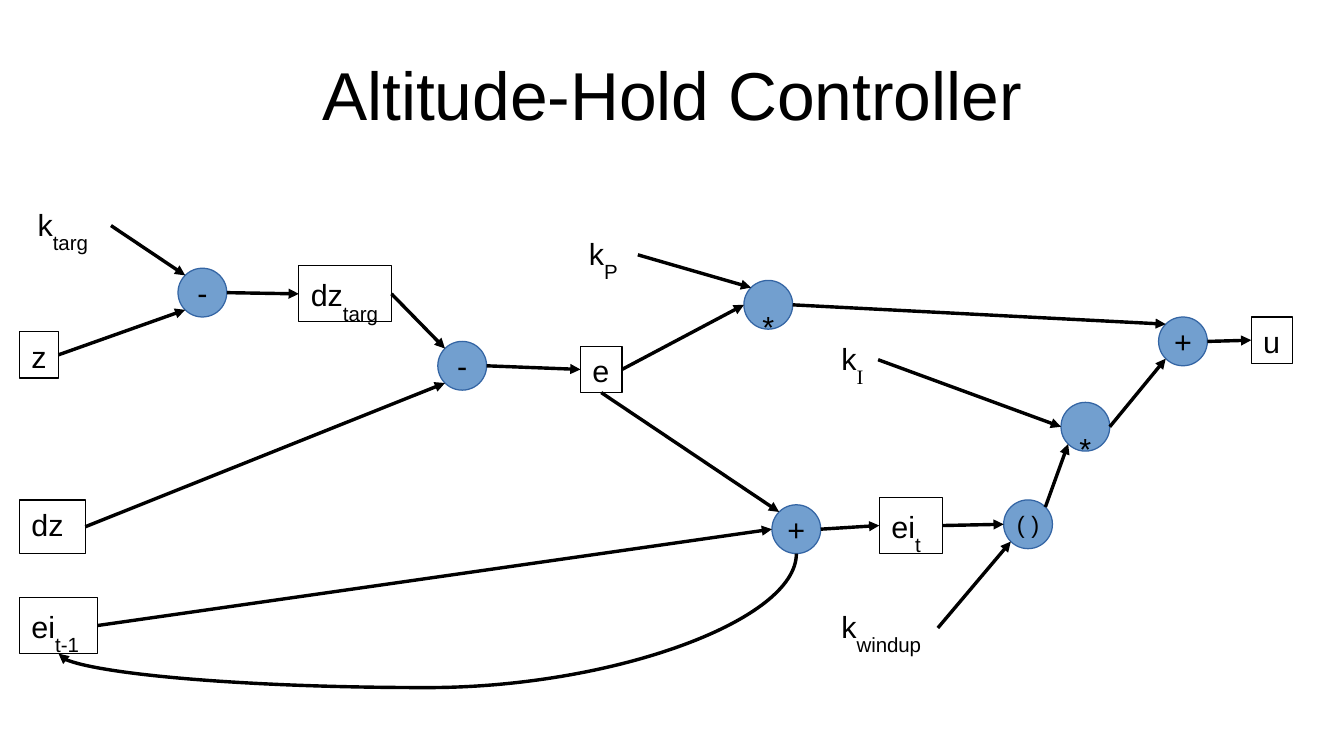
from lxml.etree import SubElement
from pptx import Presentation
from pptx.dml.color import RGBColor
from pptx.enum.shapes import MSO_CONNECTOR, MSO_SHAPE
from pptx.enum.text import MSO_ANCHOR, PP_ALIGN
from pptx.oxml.ns import qn
from pptx.util import Inches, Pt

SIDES = {"top": 0, "left": 1, "bottom": 2, "right": 3}
DIAGONAL = 0.5 ** 1.5
PORTS = {
    "top": (0.5, 0), "left": (0, 0.5), "bottom": (0.5, 1), "right": (1, 0.5),
    "upper left": (0.5 - DIAGONAL, 0.5 - DIAGONAL),
    "lower left": (0.5 - DIAGONAL, 0.5 + DIAGONAL),
    "upper right": (0.5 + DIAGONAL, 0.5 - DIAGONAL),
}


def color(code):
    return RGBColor.from_string(code)


class Diagram:
    """Draws the signals, operators and links of a control diagram."""

    ink, operator_fill, operator_edge = "000000", "729FCF", "3465A4"
    font, size, subscript_size, diameter = "Arial", 18, 20.8, 0.4

    def __init__(self, slide):
        self.slide = slide

    def run(self, paragraph, text, size, font=None, lowered=False):
        run = paragraph.add_run()
        run.text = text
        run.font.name = font or self.font
        run.font.size = Pt(size)
        run.font.color.rgb = color(self.ink)
        if lowered:
            run.font._element.set("baseline", "-40000")

    def title(self, text, left, top, width, height):
        heading = self.slide.shapes.add_textbox(*map(Inches, (left, top, width, height)))
        frame = heading.text_frame
        frame.word_wrap = True
        frame.vertical_anchor = MSO_ANCHOR.MIDDLE
        frame.margin_left = frame.margin_right = frame.margin_top = frame.margin_bottom = 0
        frame.paragraphs[0].alignment = PP_ALIGN.CENTER
        self.run(frame.paragraphs[0], text, 40)

    def label(self, holder, text, subscript, font=None):
        frame = holder.text_frame
        frame.word_wrap = bool(subscript) or len(text) > 1
        frame.vertical_anchor = MSO_ANCHOR.TOP
        paragraph = frame.paragraphs[0]
        paragraph.alignment = PP_ALIGN.LEFT
        self.run(paragraph, text, self.size)
        if subscript:
            self.run(paragraph, subscript, self.subscript_size, font, True)
        return holder

    def gain(self, subscript, left, top, width, font=None):
        holder = self.slide.shapes.add_textbox(*map(Inches, (left, top, width, 0.5)))
        return self.label(holder, "k", subscript, font)

    def outline(self, kind, left, top, width, height, edge):
        shape = self.slide.shapes.add_shape(kind, *map(Inches, (left, top, width, height)))
        shape.shadow.inherit = False
        shape.line.color.rgb = color(edge)
        shape.line.width = Pt(0)
        return shape

    def signal(self, text, subscript, left, top, width, height):
        box = self.outline(MSO_SHAPE.RECTANGLE, left, top, width, height, self.ink)
        box.fill.background()
        return self.label(box, text, subscript)

    def operator(self, symbol, left, top, size=18, lowered=False):
        circle = self.outline(MSO_SHAPE.OVAL, left, top, self.diameter, self.diameter,
                              self.operator_edge)
        circle.fill.solid()
        circle.fill.fore_color.rgb = color(self.operator_fill)
        frame = circle.text_frame
        frame.word_wrap = False
        frame.vertical_anchor = MSO_ANCHOR.MIDDLE
        frame.paragraphs[0].alignment = PP_ALIGN.CENTER
        self.run(frame.paragraphs[0], symbol, size, lowered=lowered)
        return circle

    def port(self, node, name):
        across, down = PORTS[name]
        return int(node.left + across * node.width), int(node.top + down * node.height)

    def arrow(self, kind, source, start, target, end):
        link = self.slide.shapes.add_connector(
            kind, *self.port(source, start), *self.port(target, end))
        link.line.color.rgb = color(self.ink)
        link.line.width = Pt(0)
        SubElement(link.line._get_or_add_ln(), qn("a:tailEnd"), type="triangle")
        SubElement(link._element.spPr, qn("a:effectLst"))
        return link

    def link(self, source, start, target, end):
        line = self.arrow(MSO_CONNECTOR.STRAIGHT, source, start, target, end)
        joins = (line.begin_connect, source, start), (line.end_connect, target, end)
        for connect, node, side in joins:
            if node not in self.operators:
                connect(node, SIDES[side])

    def feedback(self, source, target, bend):
        curve = self.arrow(MSO_CONNECTOR.CURVE, source, "bottom", target, "bottom")
        curve.begin_connect(source, SIDES["bottom"])
        curve.end_connect(target, SIDES["bottom"])
        curve._element.nvCxnSpPr.cNvCxnSpPr.stCxn.idx = 4
        middle_x, middle_y = curve.left + curve.width // 2, curve.top + curve.height // 2
        curve.width, curve.height = curve.height, curve.width
        curve.left, curve.top = middle_x - curve.width // 2, middle_y - curve.height // 2
        placement = curve._element.spPr.find(qn("a:xfrm"))
        placement.flipH = False
        placement.set("rot", "5400000")
        geometry = curve._element.spPr.find(qn("a:prstGeom"))
        adjustments = geometry.find(qn("a:avLst"))
        if adjustments is None:
            adjustments = SubElement(geometry, qn("a:avLst"))
        SubElement(adjustments, qn("a:gd"), name="adj1", fmla=f"val {round(bend * 100000)}")


def main():
    deck = Presentation()
    deck.slide_width, deck.slide_height = Inches(11.02), Inches(6.2)
    diagram = Diagram(deck.slides.add_slide(deck.slide_layouts[6]))
    diagram.title("Altitude-Hold Controller", 0.55, 0.25, 9.92, 1.04)

    z = diagram.signal("z", "", 0.16, 2.72, 0.32, 0.38)
    dz = diagram.signal("dz", "", 0.16, 4.1, 0.54, 0.44)
    previous_ei = diagram.signal("ei", "t-1", 0.16, 4.9, 0.64, 0.46)
    dz_target = diagram.signal("dz", "targ", 2.45, 2.18, 0.76, 0.46)
    error = diagram.signal("e", "", 4.76, 2.84, 0.34, 0.38)
    current_ei = diagram.signal("ei", "t", 7.21, 4.08, 0.52, 0.46)
    output = diagram.signal("u", "", 10.26, 2.6, 0.34, 0.38)

    k_target = diagram.gain("targ", 0.21, 1.6, 0.7)
    k_p = diagram.gain("P", 4.73, 1.84, 0.5)
    k_i = diagram.gain("I", 6.8, 2.7, 0.4, "Times New Roman")
    k_windup = diagram.gain("windup", 6.8, 4.9, 0.89)

    z_difference = diagram.operator("-", 1.46, 2.2)
    dz_difference = diagram.operator("-", 3.59, 2.8)
    p_product = diagram.operator("*", 6.1, 2.3, 31, True)
    integral = diagram.operator("+", 6.33, 4.14)
    clamp = diagram.operator("( )", 8.23, 4.1, 14)
    i_product = diagram.operator("*", 8.7, 3.3, 31, True)
    total = diagram.operator("+", 9.5, 2.6)
    diagram.operators = [z_difference, dz_difference, p_product, integral,
                         clamp, i_product, total]

    for source, start, target, end in [
        (k_target, "right", z_difference, "upper left"),
        (z, "right", z_difference, "lower left"),
        (z_difference, "right", dz_target, "left"),
        (dz_target, "right", dz_difference, "upper left"),
        (dz, "right", dz_difference, "lower left"),
        (dz_difference, "right", error, "left"),
        (k_p, "right", p_product, "upper left"),
        (error, "right", p_product, "left"),
        (error, "bottom", integral, "upper left"),
        (previous_ei, "right", integral, "left"),
        (integral, "right", current_ei, "left"),
        (current_ei, "right", clamp, "left"),
        (k_windup, "right", clamp, "lower left"),
        (clamp, "upper right", i_product, "lower left"),
        (k_i, "right", i_product, "left"),
        (p_product, "right", total, "upper left"),
        (i_product, "right", total, "lower left"),
        (total, "right", output, "left"),
    ]:
        diagram.link(source, start, target, end)
    diagram.feedback(integral, previous_ei, 1.34)

    deck.save("out.pptx")


if __name__ == "__main__":
    main()
